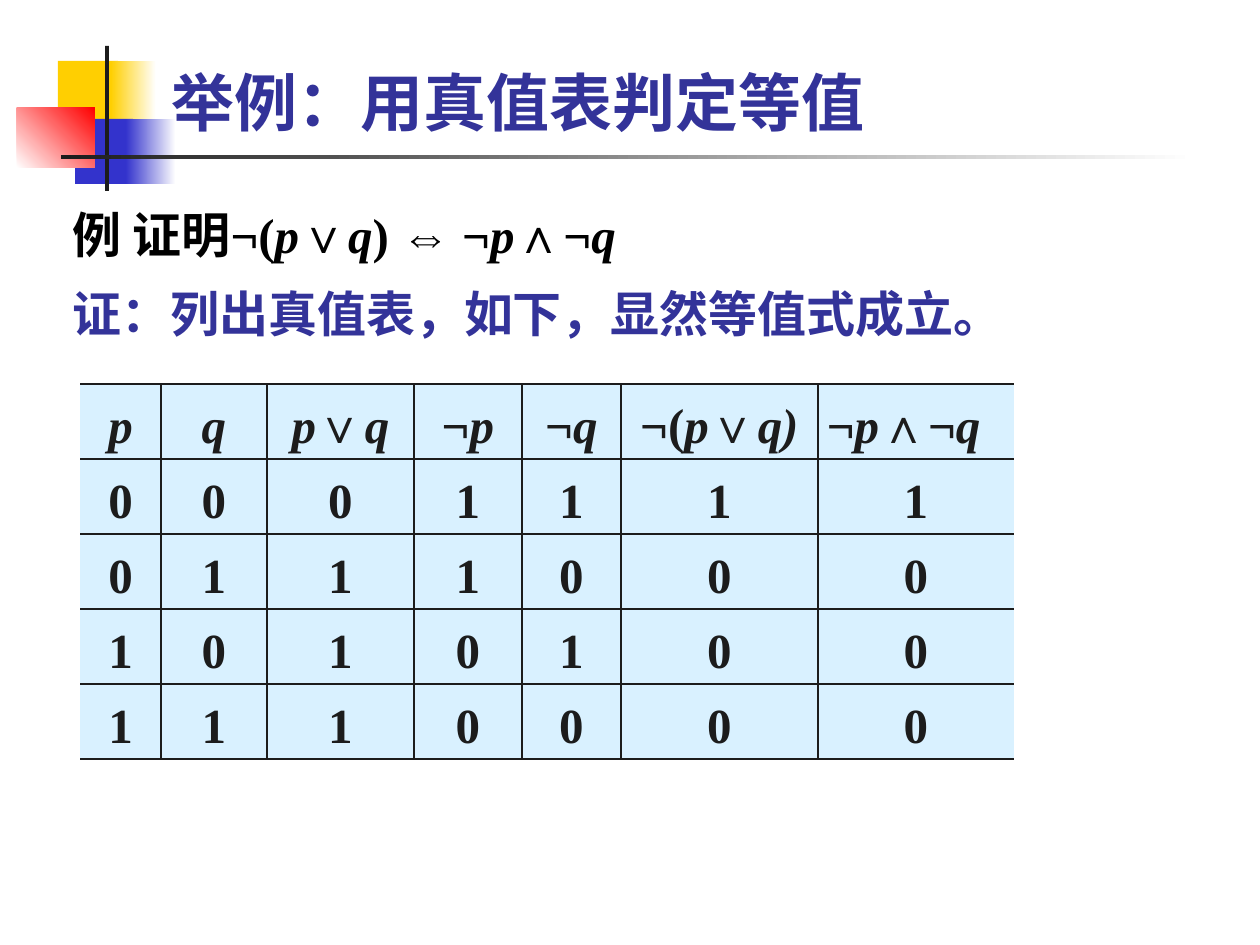
from dataclasses import dataclass

import pptx
import pptx.dml.color
import pptx.enum.shapes
import pptx.enum.text
import pptx.oxml.ns
import pptx.util
from lxml import etree

PX = 914400 / 126
ALIGN = pptx.enum.text.PP_ALIGN


@dataclass(frozen=True)
class Theme:
    yellow: str = "FFCF01"
    blue: str = "3333CC"
    red: str = "FF0000"
    white: str = "FFFFFF"
    ink: str = "1C1C1C"
    black: str = "000000"
    navy: str = "333399"
    cell: str = "D9F1FF"
    title_font: str = "Roboto"
    body_font: str = "Times New Roman"
    title_size: int = 36
    body_size: int = 28


def emu(px):
    return pptx.util.Emu(round(px * PX))


def rgb(color):
    return pptx.dml.color.RGBColor.from_string(color)


def add_xml(parent, tag, **attributes):
    return etree.SubElement(parent, pptx.oxml.ns.qn(tag), attributes)


class SlideBuilder:
    def __init__(self, slide, theme):
        self.slide = slide
        self.theme = theme

    def block(self, left, top, width, height, color, end=None, angle=0):
        """Rectangle with a plain fill, or a gradient when an end colour is given."""
        shape = self.slide.shapes.add_shape(
            pptx.enum.shapes.MSO_SHAPE.RECTANGLE, *map(emu, (left, top, width, height)))
        shape.shadow.inherit = False
        shape.line.fill.background()
        if end is None:
            shape.fill.solid()
            shape.fill.fore_color.rgb = rgb(color)
        else:
            shape.fill.gradient()
            shape.fill.gradient_angle = angle
            for stop, stop_color in zip(shape.fill.gradient_stops, (color, end)):
                stop.color.rgb = rgb(stop_color)

    def add_runs(self, paragraph, text, font, size, color):
        """Add bold runs; parts between asterisks are italic."""
        for index, part in enumerate(text.split("*")):
            if part:
                run = paragraph.add_run()
                run.text = part
                run.font.name = font
                run.font.size = pptx.util.Pt(size)
                run.font.bold = True
                run.font.italic = index % 2 == 1
                run.font.color.rgb = rgb(color)

    def space(self, paragraph, line, before):
        """Set line spacing and a space before in percent of the text size."""
        paragraph.line_spacing = line
        before_xml = add_xml(paragraph._p.get_or_add_pPr(), "a:spcBef")
        add_xml(before_xml, "a:spcPct", val=str(before * 1000))

    def place(self, shape, left, top, width, height, anchor):
        """Move a placeholder and bring it to the front."""
        shape.left, shape.top, shape.width, shape.height = map(emu, (left, top, width, height))
        self.slide.shapes._spTree.append(shape._element)
        frame = shape.text_frame
        frame.word_wrap = True
        frame.auto_size = pptx.enum.text.MSO_AUTO_SIZE.NONE
        frame.vertical_anchor = anchor
        return frame

    def title(self, text, *box):
        theme = self.theme
        frame = self.place(self.slide.shapes.title, *box, pptx.enum.text.MSO_ANCHOR.BOTTOM)
        paragraph = frame.paragraphs[0]
        paragraph.alignment = ALIGN.LEFT
        self.add_runs(paragraph, text, theme.title_font, theme.title_size, theme.navy)

    def body(self, lines, *box):
        theme = self.theme
        frame = self.place(self.slide.placeholders[1], *box, pptx.enum.text.MSO_ANCHOR.TOP)
        for index, (text, color) in enumerate(lines):
            paragraph = frame.add_paragraph() if index else frame.paragraphs[0]
            self.space(paragraph, 1.1, 30)
            properties = paragraph._p.get_or_add_pPr()
            properties.set("marL", "0")
            properties.set("indent", "0")
            add_xml(properties, "a:buNone")
            self.add_runs(paragraph, text, theme.body_font, theme.body_size, color)

    def borders(self, cell, hidden):
        properties = cell._tc.get_or_add_tcPr()
        for side in "LRTB":
            line = add_xml(properties, f"a:ln{side}", w=str(int(pptx.util.Pt(1))))
            if side in hidden:
                add_xml(line, "a:noFill")
            else:
                add_xml(add_xml(line, "a:solidFill"), "a:srgbClr", val=self.theme.ink)

    def table(self, left, top, widths, row_height, rows):
        theme = self.theme
        last = len(widths) - 1
        table = self.slide.shapes.add_table(
            len(rows), len(widths), emu(left), emu(top),
            emu(sum(widths)), emu(row_height * len(rows))).table
        table.first_row = table.horz_banding = False
        for column, width in zip(table.columns, widths):
            column.width = emu(width)
        for r, texts in enumerate(rows):
            table.rows[r].height = emu(row_height)
            for c, text in enumerate(texts):
                cell = table.cell(r, c)
                cell.margin_left = cell.margin_right = emu(9)
                cell.margin_top = cell.margin_bottom = emu(5)
                # The outer left and right edges stay open
                self.borders(cell, {0: "L", last: "R"}.get(c, ""))
                cell.fill.solid()
                cell.fill.fore_color.rgb = rgb(theme.cell)
                paragraph = cell.text_frame.paragraphs[0]
                paragraph.alignment = ALIGN.LEFT if (r, c) == (0, last) else ALIGN.CENTER
                self.space(paragraph, 1.2, 20)
                self.add_runs(paragraph, text, theme.body_font, theme.body_size, theme.ink)


def main():
    theme = Theme()
    presentation = pptx.Presentation()
    presentation.slide_width, presentation.slide_height = emu(1260), emu(945)
    slide = presentation.slides.add_slide(presentation.slide_layouts[1])
    builder = SlideBuilder(slide, theme)

    # Corner ornament and rules
    builder.block(58, 61, 60, 65, theme.yellow)
    builder.block(111, 61, 45, 65, theme.yellow, theme.white)
    builder.block(75, 119, 58, 65, theme.blue)
    builder.block(126, 119, 50, 65, theme.blue, theme.white)
    builder.block(17, 108, 78, 60, theme.white, theme.red, angle=45)
    builder.block(105, 46, 4, 145, theme.ink)
    builder.block(61, 155, 1134, 4, theme.ink, theme.white)

    # Title and statement
    builder.title("举例：用真值表判定等值", 159, 10, 1074, 135)
    builder.body([
        ("例 证明¬(*p*∨*q*) ⇔ ¬*p*∧¬*q*", theme.black),
        ("证：列出真值表，如下，显然等值式成立。", theme.navy),
    ], 60, 192, 1171, 120)

    # Truth table
    header = ["*p*", "*q*", "*p*∨*q*", "¬*p*", "¬*q*", "¬(*p*∨*q)*", "¬*p*∧¬*q*"]
    values = ["0001111", "0111000", "1010100", "1110000"]
    builder.table(80, 384, [81, 106, 147, 108, 99, 197, 196], 74, [header, *values])

    presentation.save("out.pptx")


if __name__ == "__main__":
    main()
